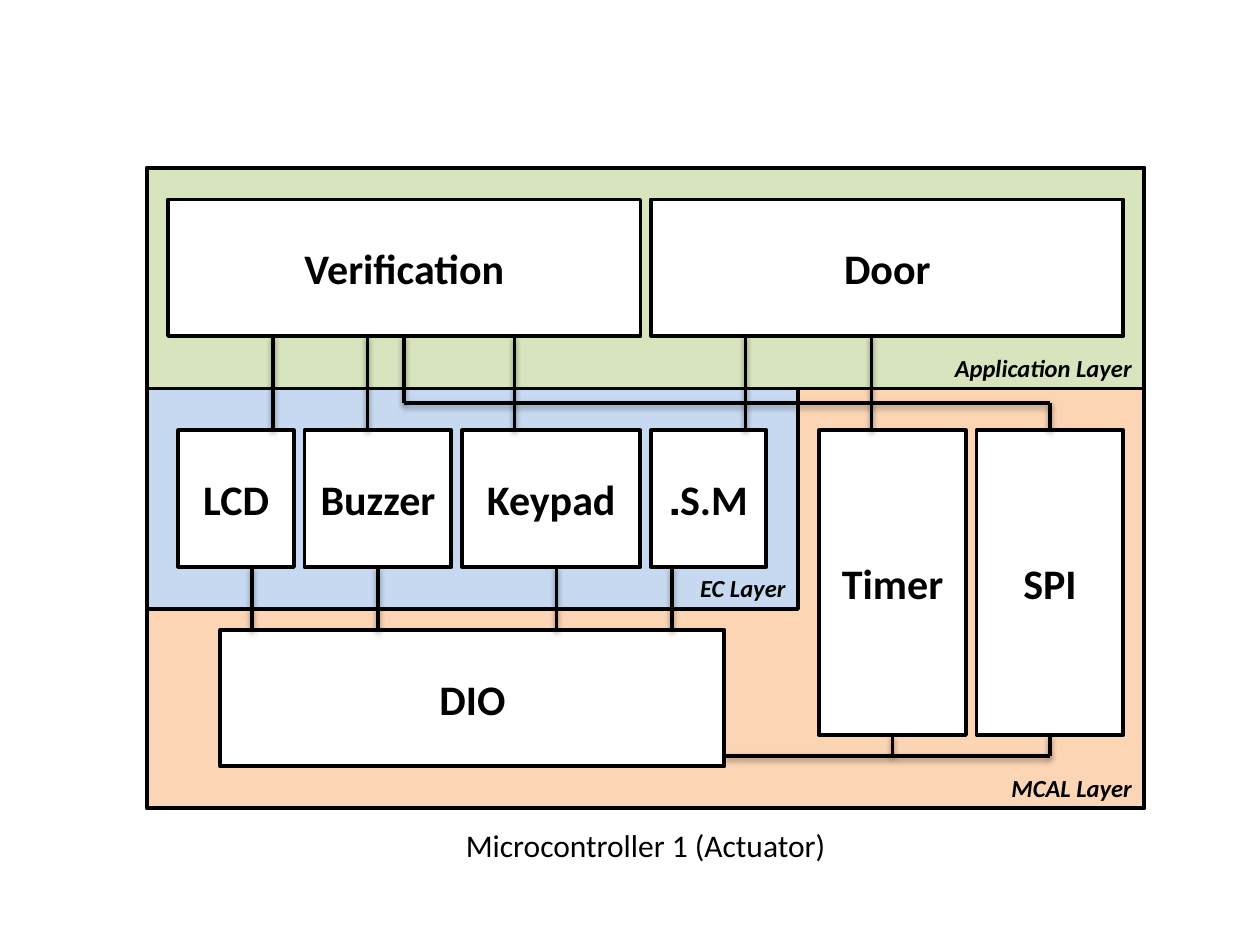
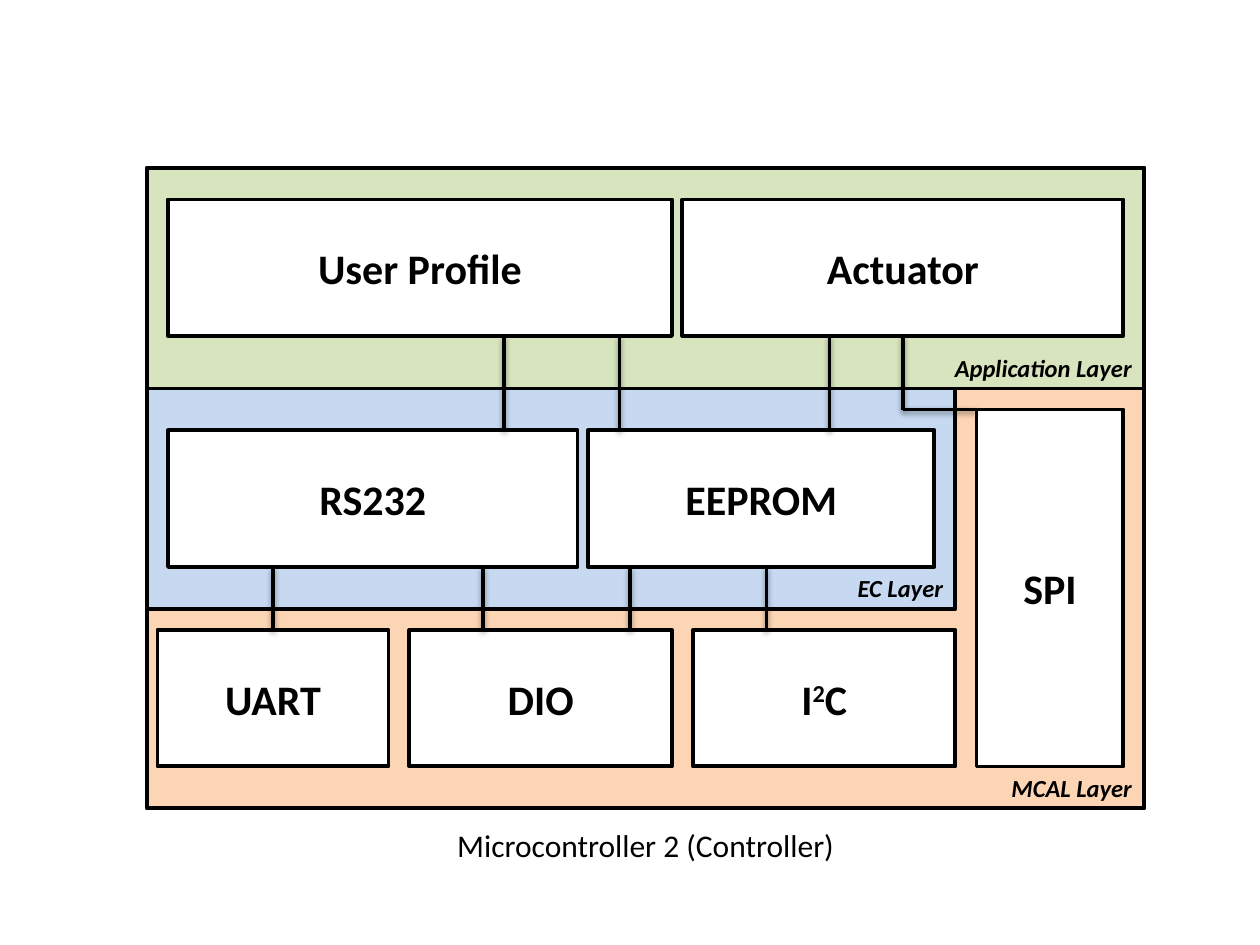
from dataclasses import dataclass
from itertools import pairwise

from pptx import Presentation
from pptx import util as u
from pptx.dml.color import RGBColor
from pptx.enum import shapes, text

CELL = u.Inches(1) // 12  # twelve grid cells to the inch
COLUMNS, ROWS = 120, 90


@dataclass(frozen=True)
class Theme:
    font: str = "Calibri"
    ink: str = "000000"
    module: str = "FFFFFF"
    application: str = "D7E4BD"
    ec: str = "C6D9F1"
    mcal: str = "FCD5B5"
    border: float = 2.25
    wire: float = 2
    module_size: int = 24
    label_size: int = 14
    caption_size: int = 18


THEME = Theme()
LEFT, RIGHT = 14, 109
APP_TOP, EC_TOP, EC_BOTTOM, MCAL_BOTTOM = 16, 37, 58, 77
APP_ROW, EC_ROW, DIO_ROW = 19, 41, 60  # tops of the module rows
MODULE_HEIGHT = 13
APP_END, EC_END = APP_ROW + MODULE_HEIGHT, EC_ROW + MODULE_HEIGHT
LABEL_HEIGHT = 4

# Modules are (name, column, row, width, height); wires are lists of (column, row).
ACTUATOR = {
    "caption": "Microcontroller 1 (Actuator)",
    "ec_width": 62,
    "modules": [
        ("Verification", 16, APP_ROW, 45, MODULE_HEIGHT),
        ("Door", 62, APP_ROW, 45, MODULE_HEIGHT),
        ("LCD", 17, EC_ROW, 11, MODULE_HEIGHT),
        ("Buzzer", 29, EC_ROW, 14, MODULE_HEIGHT),
        ("Keypad", 44, EC_ROW, 17, MODULE_HEIGHT),
        ("S.M.", 62, EC_ROW, 11, MODULE_HEIGHT),
        ("DIO", 21, DIO_ROW, 48, MODULE_HEIGHT),
        ("Timer", 78, EC_ROW, 14, 29),
        ("SPI", 93, EC_ROW, 14, 29),
    ],
    "app_drops": [26, 35, 49, 71, 83],
    "ec_drops": [24, 36, 53, 64],
    "routes": [
        [(100, EC_ROW), (100, 38.4), (38.5, 38.4), (38.5, APP_END)],
        [(100, 70), (100, 72), (69, 72)],
        [(85, 72), (85, 70)],
    ],
}
CONTROLLER = {
    "caption": "Microcontroller 2 (Controller)",
    "ec_width": 77,
    "modules": [
        ("User Profile", 16, APP_ROW, 48, MODULE_HEIGHT),
        ("Actuator", 65, APP_ROW, 42, MODULE_HEIGHT),
        ("RS232", 16, EC_ROW, 39, MODULE_HEIGHT),
        ("EEPROM", 56, EC_ROW, 33, MODULE_HEIGHT),
        ("UART", 15, DIO_ROW, 22, MODULE_HEIGHT),
        ("DIO", 39, DIO_ROW, 25, MODULE_HEIGHT),
        ("I²C", 66, DIO_ROW, 25, MODULE_HEIGHT),
        ("SPI", 93, 39, 14, 34),
    ],
    "app_drops": [48, 59, 79],
    "ec_drops": [26, 46, 60, 73],
    "routes": [[(86, APP_END), (86, 39), (93, 39)]],
}


def grid(*cells):
    return [round(cell * CELL) for cell in cells]


def set_format(target, values):
    for name, value in values.items():
        setattr(target, name, value)


def write(para, content, size, **style):
    """Fill a paragraph, raising a ² as a superscript digit."""
    for piece in filter(None, content.partition("²")):
        span = para.add_run()
        span.text = piece.replace("²", "2")
        set_format(span.font, {"name": THEME.font, "size": u.Pt(size), **style})
        span.font.color.rgb = RGBColor.from_string(THEME.ink)
        if piece == "²":
            span.font._element.set("baseline", "30000")


def add_panel(page, place, color):
    box = page.shapes.add_shape(shapes.MSO_SHAPE.RECTANGLE, *grid(*place))
    box.shadow.inherit = False
    box.fill.solid()
    box.fill.fore_color.rgb = RGBColor.from_string(color)
    box.line.color.rgb = RGBColor.from_string(THEME.ink)
    box.line.width = u.Pt(THEME.border)
    return box


def add_module(page, name, *place):
    box = add_panel(page, place, THEME.module)
    set_format(box.text_frame, {"word_wrap": True,
                                "vertical_anchor": text.MSO_ANCHOR.MIDDLE})
    para = box.text_frame.paragraphs[0]
    para.alignment = text.PP_ALIGN.CENTER
    para._p.get_or_add_pPr().set("rtl", "1")
    write(para, name, THEME.module_size, bold=True)
    return box


def add_text(page, place, content, size, align, wrap, **style):
    box = page.shapes.add_textbox(*grid(*place))
    box.text_frame.word_wrap = wrap
    para = box.text_frame.paragraphs[0]
    para.alignment = align
    write(para, content, size, **style)


def add_layer_label(page, name, right, bottom, width):
    place = right - width, bottom - LABEL_HEIGHT, width, LABEL_HEIGHT
    add_text(page, place, name, THEME.label_size, text.PP_ALIGN.RIGHT, False,
             bold=True, italic=True)


def side_middles(box, column, row, width, height):
    """Map the middle of each side to the box and its connection site."""
    middle, centre = column + width / 2, row + height / 2
    points = [(middle, row), (column, centre),
              (middle, row + height), (column + width, centre)]
    return {point: (box, site) for site, point in enumerate(points)}


def add_wire(page, points, joints):
    """Draw a route leg by leg, joined to any box side whose middle it meets."""
    for start, end in pairwise(points):
        leg = page.shapes.add_connector(shapes.MSO_CONNECTOR.STRAIGHT,
                                        *grid(*start, *end))
        leg.line.color.rgb = RGBColor.from_string(THEME.ink)
        leg.line.width = u.Pt(THEME.wire)
        if start in joints:
            leg.begin_connect(*joints[start])
        if end in joints:
            leg.end_connect(*joints[end])


def add_architecture(deck, design):
    page = deck.slides.add_slide(deck.slide_layouts[6])
    width, ec_width = RIGHT - LEFT, design["ec_width"]
    add_panel(page, (LEFT, APP_TOP, width, MCAL_BOTTOM - APP_TOP), THEME.mcal)
    add_panel(page, (LEFT, APP_TOP, width, EC_TOP - APP_TOP), THEME.application)
    add_panel(page, (LEFT, EC_TOP, ec_width, EC_BOTTOM - EC_TOP), THEME.ec)

    joints = {}
    for name, *place in design["modules"]:
        joints |= side_middles(add_module(page, name, *place), *place)

    add_layer_label(page, "Application Layer", RIGHT, EC_TOP, 19.5)
    add_layer_label(page, "EC Layer", LEFT + ec_width, EC_BOTTOM, 10.5)
    add_layer_label(page, "MCAL Layer", RIGHT, MCAL_BOTTOM, 14)
    add_text(page, (38, 78.1, 47, 4.8), design["caption"], THEME.caption_size,
             text.PP_ALIGN.CENTER, True)

    drops = [[(column, EC_ROW), (column, APP_END)] for column in design["app_drops"]]
    drops += [[(column, DIO_ROW), (column, EC_END)] for column in design["ec_drops"]]
    for points in drops + design["routes"]:
        add_wire(page, points, joints)


def main():
    deck = Presentation()
    deck.slide_width, deck.slide_height = grid(COLUMNS, ROWS)
    for design in (ACTUATOR, CONTROLLER):
        add_architecture(deck, design)
    deck.save("out.pptx")


if __name__ == "__main__":
    main()
